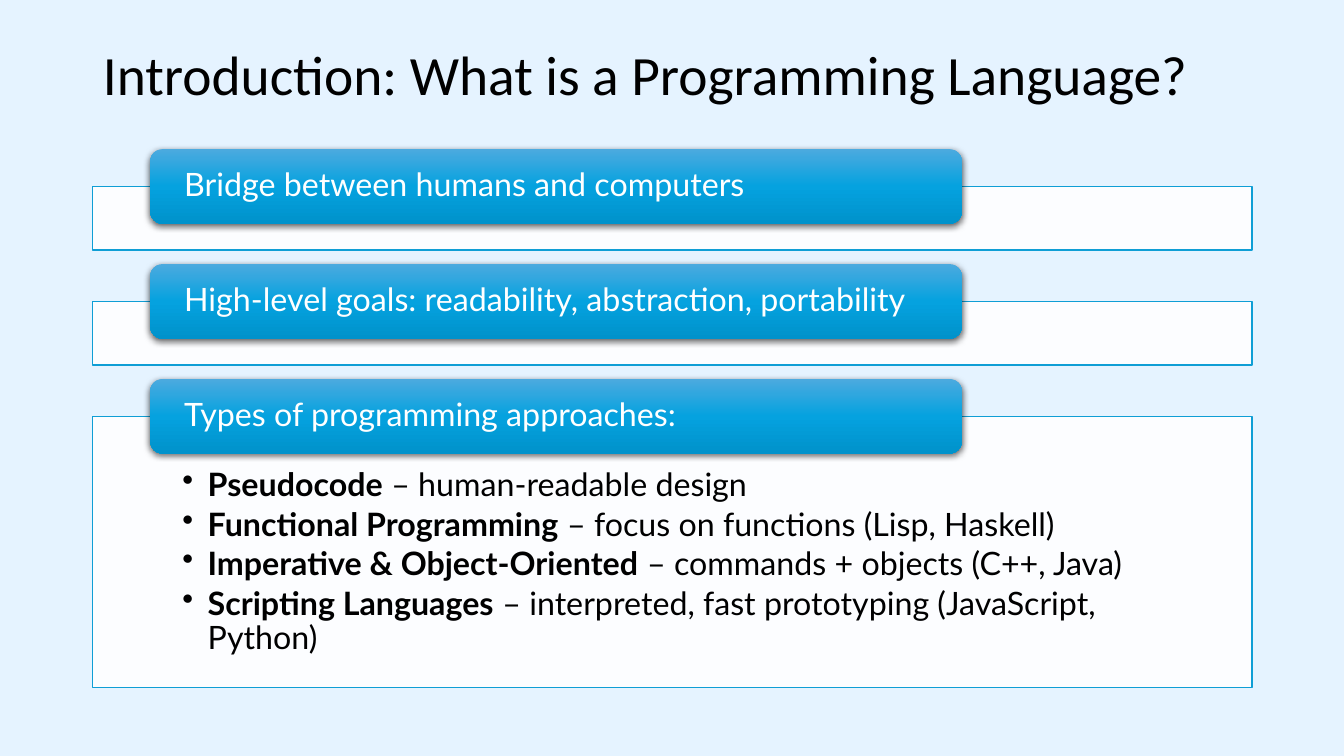
from lxml import etree
from pptx import Presentation
from pptx.dml.color import RGBColor
from pptx.enum.dml import MSO_FILL
from pptx.enum.shapes import MSO_SHAPE
from pptx.enum.text import MSO_ANCHOR, MSO_AUTO_SIZE, PP_ALIGN
from pptx.oxml import parse_xml
from pptx.oxml.ns import nsdecls, qn
from pptx.util import Pt

PX = 9144  # 100 px to the inch
RECT, ROUNDED = MSO_SHAPE.RECTANGLE, MSO_SHAPE.ROUNDED_RECTANGLE
LEFT, TOP, MIDDLE = PP_ALIGN.LEFT, MSO_ANCHOR.TOP, MSO_ANCHOR.MIDDLE

BACKGROUND = RGBColor(0xE5, 0xF3, 0xFF)
BLACK = RGBColor(0, 0, 0)
WHITE = RGBColor(0xFF, 0xFF, 0xFF)
OUTLINE = RGBColor(0x0F, 0x9E, 0xD5)
GRADIENT = [(0, RGBColor(0x4C, 0xAA, 0xDF)),
            (50, RGBColor(0x05, 0xA2, 0xDF)),
            (100, RGBColor(0x00, 0x92, 0xCB))]

TITLE = "Introduction: What is a Programming Language?"
APPROACHES = [
    ("Pseudocode", " – human-readable design"),
    ("Functional Programming", " – focus on functions (Lisp, Haskell)"),
    ("Imperative & Object-Oriented", " – commands + objects (C++, Java)"),
    ("Scripting Languages", " – interpreted, fast prototyping (JavaScript, Python)"),
]
SECTIONS = [  # heading, box height, bullets
    ("Bridge between humans and computers", 63, []),
    ("High-level goals: readability, abstraction, portability", 63, []),
    ("Types of programming approaches:", 269, APPROACHES),
]
BOX_LEFT, BOX_WIDTH, FIRST_BOX_TOP, GAP = 92, 1150, 185, 51
HEADING_LEFT, HEADING_WIDTH, HEADING_HEIGHT, HEADING_RISE = 149, 805, 74, 37


def add_panel(kind, left, top, width, height, insets, anchor):
    panel = slide.shapes.add_shape(kind, left * PX, top * PX, width * PX, height * PX)
    panel.shadow.inherit = False
    frame = panel.text_frame
    frame.word_wrap = True
    frame.vertical_anchor = anchor
    (frame.margin_left, frame.margin_top,
     frame.margin_right, frame.margin_bottom) = [inset * PX for inset in insets]
    return panel


def format_paragraph(paragraph, font_name, size, color):
    paragraph.alignment = LEFT
    paragraph.line_spacing = 0.9
    paragraph.font.name = font_name
    paragraph.font.size = Pt(size)
    paragraph.font.color.rgb = color


prs = Presentation()
prs.slide_width, prs.slide_height = 1333 * PX, 750 * PX
slide = prs.slides.add_slide(prs.slide_layouts[5])
slide.background.fill.solid()
slide.background.fill.fore_color.rgb = BACKGROUND

title = slide.shapes.title
title.left, title.top, title.width, title.height = 92 * PX, 40 * PX, 1150 * PX, 74 * PX
title.text_frame.text = TITLE
title.text_frame.auto_size = MSO_AUTO_SIZE.NONE
title.text_frame.vertical_anchor = MIDDLE
format_paragraph(title.text_frame.paragraphs[0], "Calibri", 39.6, BLACK)

box_top = FIRST_BOX_TOP
for heading_text, box_height, bullets in SECTIONS:
    box = add_panel(RECT, BOX_LEFT, box_top, BOX_WIDTH, box_height, (89, 52, 89, 18), TOP)
    box.fill.solid()
    box.fill.fore_color.rgb = WHITE
    white = box.fill._xPr.find(qn("a:solidFill"))[0]
    etree.SubElement(white, qn("a:alpha"), val="90000")
    box.line.color.rgb = OUTLINE
    box.line.width = Pt(1)

    for index, (term, explanation) in enumerate(bullets):
        frame = box.text_frame
        bullet = frame.add_paragraph() if index else frame.paragraphs[0]
        bullet.add_run().text = term
        bullet.runs[0].font.bold = True
        bullet.add_run().text = explanation
        format_paragraph(bullet, "Lato", 23, BLACK)
        bullet.space_after = Pt(3.4)
        properties = bullet._p.get_or_add_pPr()
        properties.set("marL", str(25 * PX))
        properties.set("indent", str(-25 * PX))
        properties.find(qn("a:defRPr")).addprevious(
            parse_xml(f'<a:buChar {nsdecls("a")} char="•"/>'))

    heading = add_panel(ROUNDED, HEADING_LEFT, box_top - HEADING_RISE,
                        HEADING_WIDTH, HEADING_HEIGHT, (30, 0, 30, 0), MIDDLE)
    heading.line.fill.background()
    heading.fill.gradient()
    heading.fill.gradient_angle = 270
    stops = heading._element.spPr.find(qn("a:gradFill")).find(qn("a:gsLst"))
    stops.clear()
    for percent, color in GRADIENT:
        stop = etree.SubElement(stops, qn("a:gs"), pos=str(percent * 1000))
        etree.SubElement(stop, qn("a:srgbClr"), val=str(color))
    heading._element.spPr.find(qn("a:effectLst")).append(parse_xml(
        f'<a:outerShdw {nsdecls("a")} blurRad="{Pt(4.5)}" dist="{Pt(1.5)}" dir="5400000"'
        ' algn="ctr" rotWithShape="0"><a:srgbClr val="000000"><a:alpha val="63000"/>'
        '</a:srgbClr></a:outerShdw>'))
    heading.text_frame.text = heading_text
    format_paragraph(heading.text_frame.paragraphs[0], "Lato", 23, WHITE)

    box_top += box_height + GAP

prs.save("out.pptx")
